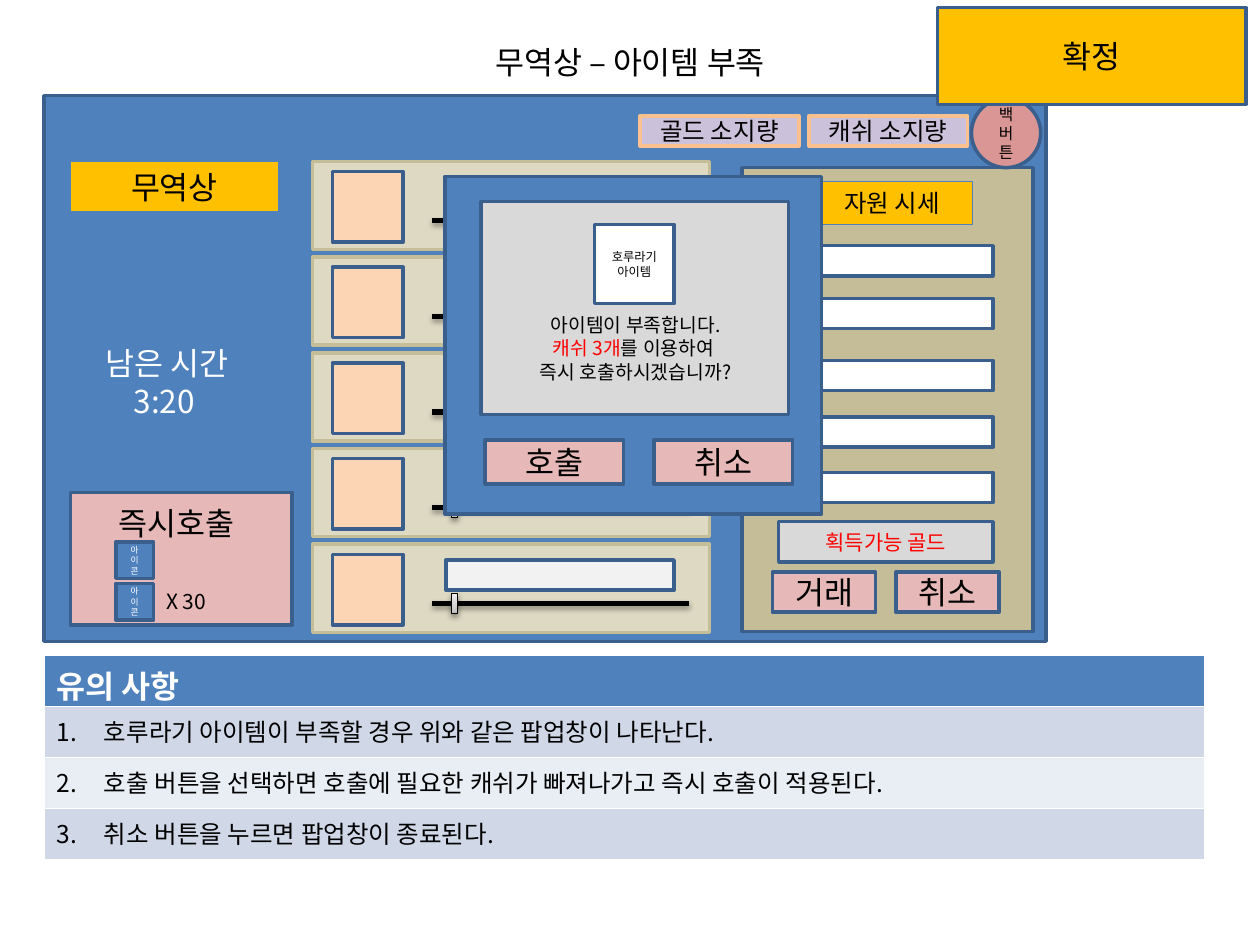
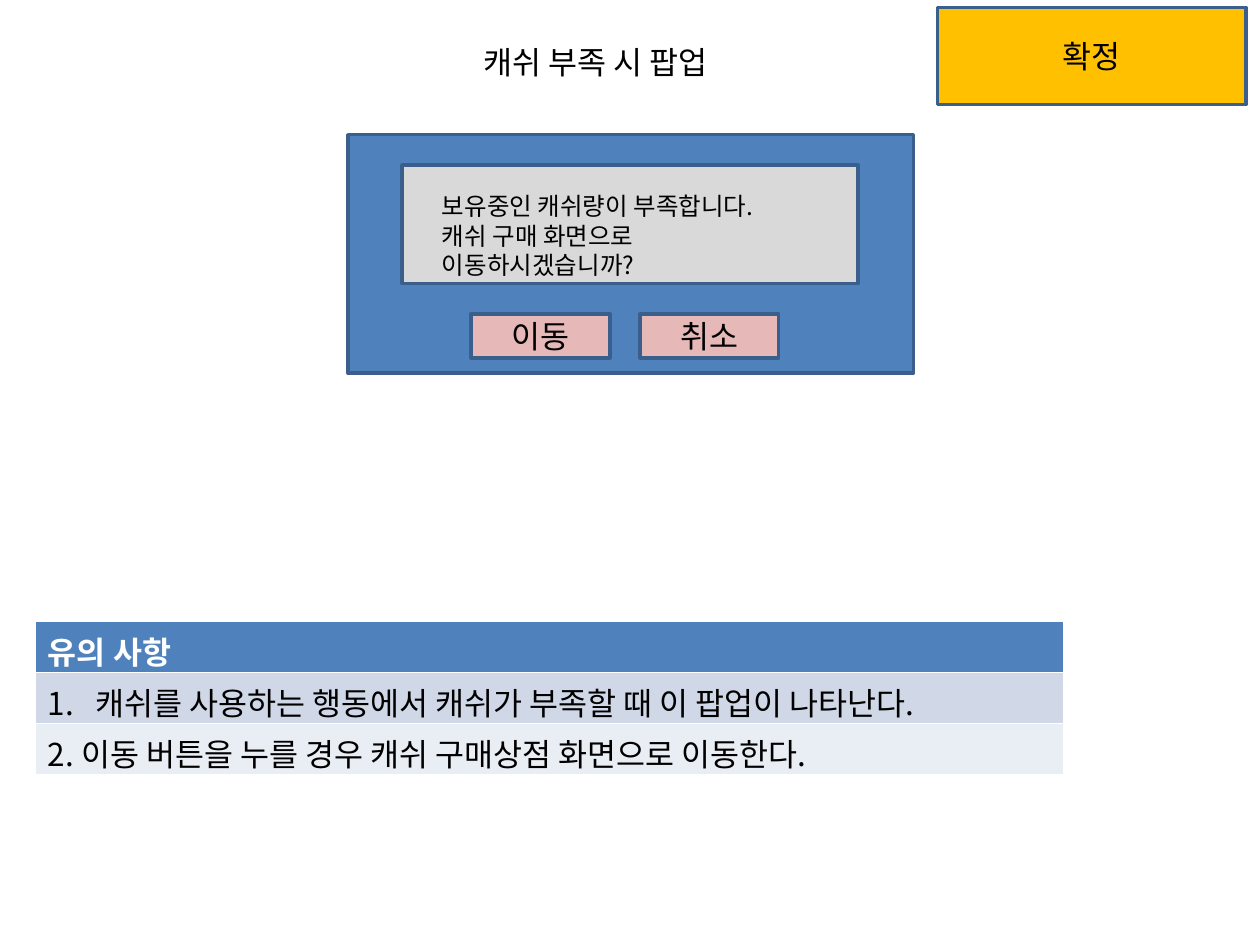
from dataclasses import dataclass
from functools import partial
from typing import NamedTuple, Optional

from lxml.etree import SubElement
from pptx import Presentation
from pptx.dml.color import RGBColor
from pptx.enum.shapes import MSO_CONNECTOR, MSO_SHAPE
from pptx.enum.text import MSO_ANCHOR, MSO_AUTO_SIZE, PP_ALIGN
from pptx.oxml.ns import qn
from pptx.util import Pt

FACE = "Noto Sans CJK KR"
BLACK = RGBColor(0x00, 0x00, 0x00)
WHITE = RGBColor(0xFF, 0xFF, 0xFF)
RED = RGBColor(0xFF, 0x00, 0x00)
BLUE = RGBColor(0x4F, 0x81, 0xBD)
NAVY = RGBColor(0x3A, 0x5F, 0x8C)
GOLD = RGBColor(0xFF, 0xC0, 0x00)
PINK = RGBColor(0xE6, 0xB9, 0xB8)
ROSE = RGBColor(0xD9, 0x96, 0x94)
GREY = RGBColor(0xD9, 0xD9, 0xD9)
PALE = RGBColor(0xF2, 0xF2, 0xF2)
TAN = RGBColor(0xC4, 0xBD, 0x97)
SAND = RGBColor(0xDD, 0xD9, 0xC3)
PEACH = RGBColor(0xFC, 0xD5, 0xB5)
LILAC = RGBColor(0xCC, 0xC1, 0xDA)
AMBER = RGBColor(0xFA, 0xC0, 0x90)
BANDS = (RGBColor(0xD0, 0xD8, 0xE8), RGBColor(0xE9, 0xED, 0xF4))
METAL = ((0, "BDBDBD"), (35, "D1D1D1"), (100, "EEEEEE"))


class Run(NamedTuple):
    """A stretch of text with its own colour."""
    text: str
    ink: RGBColor


class Par(NamedTuple):
    """A paragraph with an indent and an optional list number."""
    runs: tuple
    left: float = 0
    num: int = 0


@dataclass
class Box:
    """A filled shape with optional text."""
    x: float
    y: float
    w: float
    h: float
    fill: RGBColor = WHITE
    text: str = ""
    size: float = 18
    ink: RGBColor = BLACK
    edge: RGBColor = NAVY
    thick: float = 2
    kind: MSO_SHAPE = MSO_SHAPE.RECTANGLE
    grow: bool = False


@dataclass
class Label:
    """A free text box that does not wrap."""
    x: float
    y: float
    w: float
    h: float
    lines: tuple
    size: float = 18
    ink: RGBColor = BLACK
    align: PP_ALIGN = PP_ALIGN.LEFT


Button = partial(Box, fill=PINK)
Sign = partial(Box, fill=GOLD, edge=BLUE, thick=0.75, grow=True)
Purse = partial(Box, y=66.2, w=90.7, h=17.3, fill=LILAC, size=14, edge=AMBER)
Icon = partial(Box, x=66.2, w=21.6, h=20.9, fill=BLUE, text="아이콘", size=5, ink=WHITE)


def write(frame, lines: tuple, *, size: float = 18, ink: RGBColor = BLACK,
          align: PP_ALIGN = PP_ALIGN.LEFT, bold: bool = False) -> None:
    """Fill a text frame with formatted paragraphs."""
    for pos, line in enumerate(lines):
        part = line if isinstance(line, Par) else Par((line,))
        para = frame.add_paragraph() if pos else frame.paragraphs[0]
        para.alignment = align
        props = para._p.get_or_add_pPr()
        if part.left:
            props.set("marL", str(Pt(part.left)))
        if part.num:
            props.set("indent", str(-Pt(part.left)))
            SubElement(props, qn("a:buAutoNum"), type="arabicPeriod", startAt=str(part.num))
        for item in part.runs:
            piece = item if isinstance(item, Run) else Run(item, ink)
            run = para.add_run()
            run.text = piece.text
            font = run.font
            font.size, font.bold, font.name = Pt(size), bold, FACE
            font.color.rgb = piece.ink
            SubElement(run._r.rPr, qn("a:ea"), typeface=FACE)


def draw(slide, box: Box):
    """Draw a box and its centred text."""
    shape = slide.shapes.add_shape(box.kind, Pt(box.x), Pt(box.y), Pt(box.w), Pt(box.h))
    shape.shadow.inherit = False
    shape.fill.solid()
    shape.fill.fore_color.rgb = box.fill
    shape.line.color.rgb = box.edge
    shape.line.width = Pt(box.thick)
    if box.text:
        frame = shape.text_frame
        frame.word_wrap = True
        frame.vertical_anchor = MSO_ANCHOR.TOP if box.grow else MSO_ANCHOR.MIDDLE
        if box.grow:
            frame.auto_size = MSO_AUTO_SIZE.SHAPE_TO_FIT_TEXT
        write(frame, (box.text,), size=box.size, ink=box.ink, align=PP_ALIGN.CENTER)
    return shape


def label(slide, tag: Label) -> None:
    """Place a free text box."""
    shape = slide.shapes.add_textbox(Pt(tag.x), Pt(tag.y), Pt(tag.w), Pt(tag.h))
    frame = shape.text_frame
    frame.word_wrap = False
    frame.auto_size = MSO_AUTO_SIZE.SHAPE_TO_FIT_TEXT
    write(frame, tag.lines, size=tag.size, ink=tag.ink, align=tag.align)


def shade(shape, dist: float, alpha: int) -> None:
    """Cast a soft black shadow straight down."""
    props = shape._element.spPr
    fx = props.find(qn("a:effectLst"))
    if fx is None:
        fx = SubElement(props, qn("a:effectLst"))
    cast = SubElement(fx, qn("a:outerShdw"), blurRad=str(Pt(3.1)), dist=str(Pt(dist)),
                      dir="5400000", rotWithShape="0")
    tint = SubElement(cast, qn("a:srgbClr"), val=str(BLACK))
    SubElement(tint, qn("a:alpha"), val=str(alpha * 1000))


def slider(slide, top: float) -> None:
    """Draw a slider track with its metal thumb."""
    track = slide.shapes.add_connector(
        MSO_CONNECTOR.STRAIGHT, Pt(247), Pt(top), Pt(393.8), Pt(top))
    track.line.color.rgb = BLACK
    track.line.width = Pt(3)
    shade(track, 1.8, 35)
    thumb = draw(slide, Box(257.8, top - 5.7, 3.6, 11.5, edge=BLACK, thick=0.75))
    thumb.fill.gradient()
    thumb.fill.gradient_angle = 90
    stops = thumb._element.spPr.find(".//" + qn("a:gsLst"))
    stops.clear()
    for pos, tone in METAL:
        stop = SubElement(stops, qn("a:gs"), pos=str(pos * 1000))
        SubElement(stop, qn("a:srgbClr"), val=tone)
    shade(thumb, 1.6, 38)


def goods(slide, top: float) -> None:
    """Draw one row of the goods list."""
    draw(slide, Box(178.6, top, 226.8, 50.4, SAND, edge=TAN))
    draw(slide, Box(190.1, top + 5.8, 40.3, 40.3, PEACH))
    slider(slide, top + 33.8)
    draw(slide, Box(254.9, top + 9, 130.3, 17.3, PALE))


def pair(slide, x: float, y: float, yes: str) -> None:
    """Draw the accept and cancel buttons of a popup."""
    for pos, text in enumerate((yes, "취소")):
        draw(slide, Button(x + pos * 96.5, y, 79.2, 25.2, text=text))


def head(slide, title: str, x: float, w: float) -> None:
    """Draw the slide title and the status tag."""
    label(slide, Label(x, 20.9, w, 29, (title,)))
    draw(slide, Box(535.7, 4.3, 176.4, 55.4, GOLD, "확정"))


def notes(slide, x: float, y: float, w: float, rows: tuple, size: float) -> None:
    """Draw the table of remarks."""
    high = 29.2
    count = len(rows) + 1
    table = slide.shapes.add_table(count, 1, Pt(x), Pt(y), Pt(w), Pt(high * count)).table
    for pos, line in enumerate(("유의 사항",) + rows):
        table.rows[pos].height = Pt(high)
        cell = table.cell(pos, 0)
        cell.fill.solid()
        cell.fill.fore_color.rgb = BANDS[(pos - 1) % 2] if pos else BLUE
        write(cell.text_frame, (line,), size=size if pos else 18,
              ink=BLACK if pos else WHITE, bold=not pos)


def trade(slide) -> None:
    """Draw the panel of resource prices."""
    draw(slide, Box(424.1, 95.8, 166.3, 265, TAN))
    draw(slide, Box(445, 298.1, 122.4, 23, GREY, "획득가능 골드", 12, RED))
    draw(slide, Sign(463.7, 103.7, 92.2, 24.5, text="자원 시세", size=14))
    for x, text in ((441.4, "거래"), (511.9, "취소")):
        draw(slide, Button(x, 326.9, 59, 23, text=text))
    for y in (140.4, 170.6, 205.9, 238.3, 270):
        draw(slide, Box(467.3, y, 100.1, 17.3))


def call(slide) -> None:
    """Draw the instant call box."""
    draw(slide, Box(40.3, 281.5, 126.7, 75.6, PINK))
    label(slide, Label(60.5, 284.4, 87.1, 29, ("즉시호출",)))
    for y in (309.6, 333.4):
        draw(slide, Icon(y=y))
    label(slide, Label(87.8, 332.6, 39.6, 21.6, ("X 30",), 12))


def popup(slide) -> None:
    """Draw the popup for a missing item."""
    draw(slide, Box(254.2, 100.8, 215.3, 193, BLUE))
    pair(slide, 277.2, 251.3, "호출")
    draw(slide, Box(275, 115.2, 175.7, 121.7, GREY))
    ask = ("아이템이 부족합니다.",
           Par((Run("캐쉬 3개", RED), "를 이용하여 ")),
           "즉시 호출하시겠습니까?")
    label(slide, Label(295.9, 175.7, 134.6, 47.5, ask, 11, align=PP_ALIGN.CENTER))
    draw(slide, Box(339.8, 128.2, 45.4, 45.4, text="호루라기아이템", size=7))


def trader(slide) -> None:
    """Build the trader slide."""
    draw(slide, Box(25.2, 54.7, 572.4, 311.8, BLUE))
    trade(slide)
    draw(slide, Sign(40.3, 92.2, 118.8, 28.8, text="무역상"))
    for pos in range(5):
        goods(slide, 92.2 + pos * 54.7)
    rules = ("호루라기 아이템이 부족할 경우 위와 같은 팝업창이 나타난다.",
             "호출 버튼을 선택하면 호출에 필요한 캐쉬가 빠져나가고 즉시 호출이 적용된다.",
             "취소 버튼을 누르면 팝업창이 종료된다.")
    rows = tuple(Par((text,), 27, num) for num, text in enumerate(rules, 1))
    notes(slide, 25.2, 374.4, 663.1, rows, 14)
    draw(slide, Box(555.1, 56.2, 39.6, 39.6, ROSE, "백버튼", 9, kind=MSO_SHAPE.OVAL))
    for x, text in ((462.2, "캐쉬 소지량"), (365.8, "골드 소지량")):
        draw(slide, Purse(x=x, text=text))
    head(slide, "무역상 – 아이템 부족", 275.8, 188.6)
    label(slide, Label(53.3, 193, 93.6, 51.1,
                       ("남은 시간", Par(("3:20",), 16)), ink=WHITE))
    call(slide)
    popup(slide)


def short(slide) -> None:
    """Build the slide for a lack of cash."""
    draw(slide, Box(198.7, 77, 323.3, 136.1, BLUE))
    draw(slide, Box(229.7, 94.3, 260.6, 67.7, GREY))
    ask = ("보유중인 캐쉬량이 부족합니다.", "캐쉬 구매 화면으로", "이동하시겠습니까?")
    label(slide, Label(245.5, 105.8, 216, 58.3, ask, 14))
    pair(slide, 269.3, 179.3, "이동")
    rows = (Par(("캐쉬를 사용하는 행동에서 캐쉬가 부족할 때 이 팝업이 나타난다.",), 27, 1),
            "2. 이동 버튼을 누를 경우 캐쉬 구매상점 화면으로 이동한다.")
    notes(slide, 20.2, 355, 587.5, rows, 18)
    head(slide, "캐쉬 부족 시 팝업", 269.3, 161.3)


def main() -> None:
    """Build and save the deck."""
    deck = Presentation()
    deck.slide_width, deck.slide_height = Pt(720), Pt(540)
    for build in (trader, short):
        build(deck.slides.add_slide(deck.slide_layouts[6]))
    deck.save("out.pptx")


if __name__ == "__main__":
    main()
